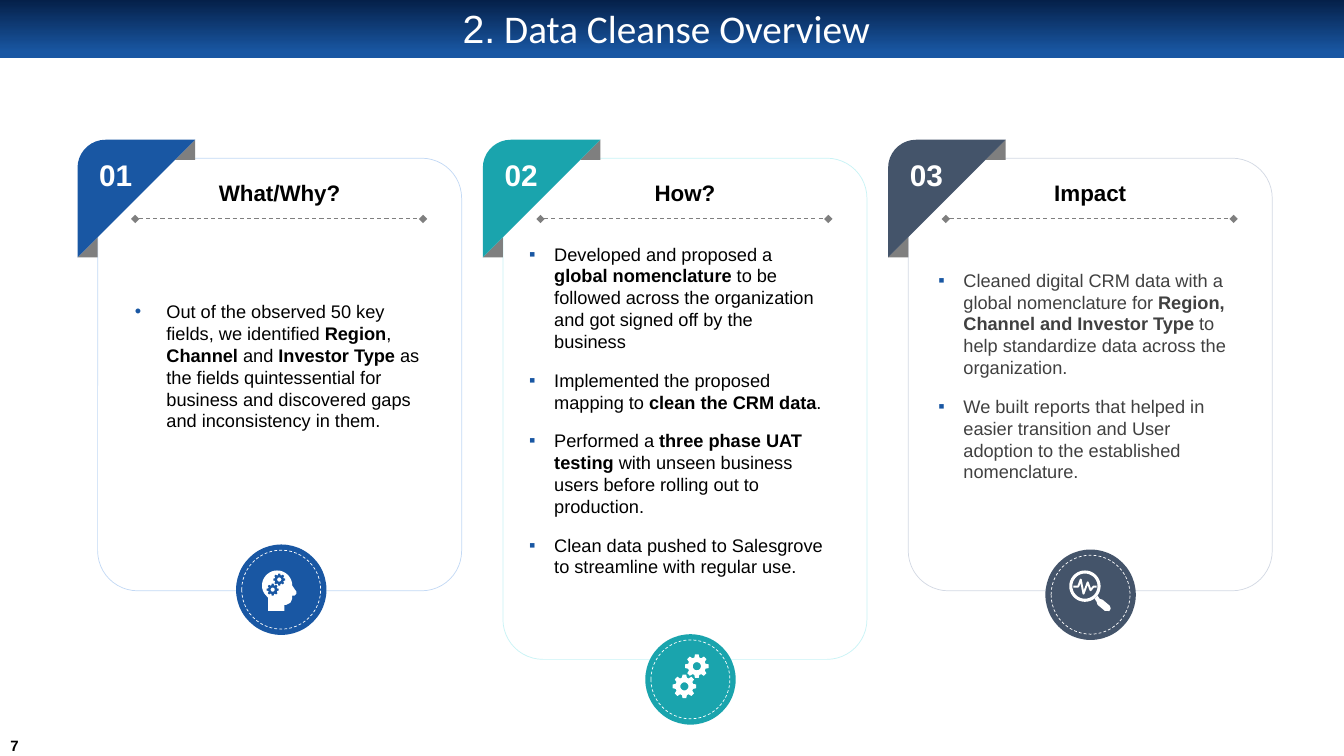
from math import cos, radians, sin

from lxml import etree
from pptx import Presentation
from pptx.dml.color import RGBColor
from pptx.enum.dml import MSO_LINE
from pptx.enum.shapes import MSO_CONNECTOR, MSO_SHAPE
from pptx.enum.text import MSO_ANCHOR, PP_ALIGN
from pptx.oxml.ns import qn
from pptx.util import Pt

RECT, ROUND = MSO_SHAPE.RECTANGLE, MSO_SHAPE.ROUNDED_RECTANGLE
OVAL, FOLD = MSO_SHAPE.OVAL, MSO_SHAPE.RIGHT_TRIANGLE
DASH, STRAIGHT = MSO_LINE.DASH, MSO_CONNECTOR.STRAIGHT
CENTER, LEFT = PP_ALIGN.CENTER, PP_ALIGN.LEFT
TOP, MIDDLE, BOTTOM = MSO_ANCHOR.TOP, MSO_ANCHOR.MIDDLE, MSO_ANCHOR.BOTTOM

COLORS = {
    "navy": "052049", "blue": "1957A3", "teal": "1AA4AD", "slate": "44546A",
    "pale blue": "C3D9F5", "pale teal": "C8F3F6", "pale slate": "D3D9E4",
    "gray": "7F7F7F", "dark": "404040", "black": "000000", "white": "FFFFFF",
}
FLAT = {"margin_left": 0, "margin_right": 0, "margin_top": 0, "margin_bottom": 0}
PITCH, CARD_X, CARD_Y, CARD_W = 289.5, 69.8, 113, 260
TAB_Y, TAB, CURVE, FOLD_W = 99.8, 84, 20, 14.4

# Text between bars is bold.
CARDS = [
    {"head": "What/Why?", "tint": "blue", "height": 309, "disc": (200.9, 421.2),
     "text": (89.3, 211, 219.6, 188), "ink": "black", "mark": "•", "indent": 22.5,
     "items": ["Out of the observed 50 key fields, we identified |Region|, |Channel| and "
               "|Investor Type| as the fields quintessential for business and discovered "
               "gaps and inconsistency in them."]},
    {"head": "How?", "tint": "teal", "height": 358, "disc": (493.2, 485.3),
     "text": (370.8, 169.9, 224.6, 245), "ink": "black", "mark": "▪", "indent": 18,
     "items": ["Developed and proposed a |global nomenclature |to be followed across the "
               "organization and got signed off by the business",
               "Implemented the proposed mapping to |clean the CRM data|.",
               "Performed a |three phase UAT testing| with unseen business users before "
               "rolling out to production.",
               "Clean data pushed to Salesgrove to streamline with regular use."]},
    {"head": "Impact", "tint": "slate", "height": 309, "disc": (779, 424.8),
     "text": (663.1, 188.6, 231.1, 188), "ink": "dark", "mark": "▪", "indent": 18,
     "items": ["Cleaned digital CRM data with a global nomenclature for |Region, Channel "
               "and Investor Type |to help standardize data across the organization.",
               "We built reports that helped in easier transition and User adoption to "
               "the established nomenclature."]},
]


def rgb(name):
    return RGBColor.from_string(COLORS[name])


def assign(item, values):
    for key, value in values.items():
        setattr(item, key, value)


def paint(shape, fill=None, line=None, width=0.5, dash=None):
    shape.shadow.inherit = False
    if fill:
        shape.fill.solid()
        shape.fill.fore_color.rgb = rgb(fill)
    else:
        shape.fill.background()
    if line:
        shape.line.color.rgb = rgb(line)
        assign(shape.line, {"width": Pt(width), "dash_style": dash})
    else:
        shape.line.fill.background()
    return shape


def add_form(slide, kind, box, **style):
    return paint(slide.shapes.add_shape(kind, *map(Pt, box)), **style)


def add_path(slide, center, rings, closed=True, **style):
    """Draw one outline from rings of points set around a center."""
    x, y = center
    rings = [[(Pt(x + a), Pt(y + b)) for a, b in ring] for ring in rings]
    pen = slide.shapes.build_freeform(*rings[0][0], scale=1)
    pen.add_line_segments(rings[0][1:], close=closed)
    for ring in rings[1:]:
        pen.move_to(*ring[0])
        pen.add_line_segments(ring[1:], close=closed)
    return paint(pen.convert_to_shape(), **style)


def arc(x, y, size, start=0, end=360, step=10):
    return [(x + size * cos(radians(d)), y + size * sin(radians(d)))
            for d in range(start, end + 1, step)]


def add_run(line, text, size, color, bold=False, face="Arial"):
    run = line.add_run()
    run.text = text
    assign(run.font, {"size": Pt(size), "bold": bold, "name": face})
    run.font.color.rgb = rgb(color)


def add_box(slide, box, anchor, wrap=True, **frame):
    text = slide.shapes.add_textbox(*map(Pt, box)).text_frame
    assign(text, {"word_wrap": wrap, "vertical_anchor": anchor, **frame})
    return text


def add_label(slide, box, words, size, color, anchor=MIDDLE, **frame):
    line = add_box(slide, box, anchor, **frame).paragraphs[0]
    line.alignment = CENTER
    add_run(line, words, size, color, bold=True)


def add_bullet(line, mark, indent):
    props = line._p.get_or_add_pPr()
    props.set("marL", str(Pt(indent)))
    props.set("indent", str(-Pt(indent)))
    tone = etree.SubElement(props, qn("a:buClr"))
    etree.SubElement(tone, qn("a:srgbClr"), val=COLORS["blue"])
    etree.SubElement(props, qn("a:buFont"), typeface="Arial")
    etree.SubElement(props, qn("a:buChar"), char=mark)


def add_list(slide, card):
    text = add_box(slide, card["text"], TOP)
    for i, item in enumerate(card["items"]):
        line = text.add_paragraph() if i else text.paragraphs[0]
        add_bullet(line, card["mark"], card["indent"])
        assign(line, {"alignment": LEFT, "space_before": Pt(6 if i else 0),
                      "space_after": Pt(6)})
        for j, part in enumerate(item.split("|")):
            add_run(line, part, 13, card["ink"], bold=j % 2 == 1)


def add_rule(slide, x, y, width):
    rule = slide.shapes.add_connector(STRAIGHT, Pt(x), Pt(y), Pt(x + width), Pt(y))
    rule.line.color.rgb = rgb("gray")
    assign(rule.line, {"width": Pt(0.75), "dash_style": DASH})
    for end in ("a:headEnd", "a:tailEnd"):
        etree.SubElement(rule.line._get_or_add_ln(), qn(end), type="diamond")
    etree.SubElement(rule.element.spPr, qn("a:effectLst"))


def add_gear(slide, center, size, hole, fill):
    teeth = [(size * r * cos(radians(d + turn)), size * r * sin(radians(d + turn)))
             for d in range(0, 360, 45)
             for turn, r in ((-16, 0.76), (-9, 1), (9, 1), (16, 0.76))]
    add_path(slide, center, [teeth, arc(0, 0, hole)], fill=fill)


def draw_head(slide, x, y):
    face = [(10.8, 1.4), (10.8, 2.9), (9.4, 4.3), (7.9, 4.3), (7.9, 6.5), (6.5, 9.4),
            (3.6, 10.8), (2.2, 10.8), (2.2, 15.1), (-9.4, 15.1), (-9.4, 5.8)]
    add_path(slide, (x, y), [face + arc(-2.9, -2.9, 10.8, 150, 360)], fill="white")
    for a, b in ((-1.4, -7.2), (-6.1, 0)):
        add_gear(slide, (x + a, y + b), 4.3, 1.5, "blue")


def draw_gears(slide, x, y):
    for a, b in ((4.6, -9.4), (-4.3, 5)):
        add_gear(slide, (x + a, y + b), 8.5, 2.9, "white")


def draw_lens(slide, x, y):
    grip = [(2.9, 2.9), (5, 0.7), (6.5, 2.9), (8.6, 3.6), (13.7, 7.9), (14.4, 10),
            (13.4, 11.7), (10.1, 11.5), (5, 7.2), (4.3, 5)]
    pulse = [(-12.2, -5.8), (-8.8, -5.8), (-7, -10.8), (-5, -0.7), (-2, -8.8),
             (0, -3.2), (2.2, -5.8), (4.3, -5.8)]
    add_path(slide, (x, y), [arc(-4, -6.1, 11.2), arc(-4, -6.1, 9)], fill="white")
    add_path(slide, (x, y), [grip], fill="white")
    add_path(slide, (x, y), [pulse], closed=False, line="white", width=1.4)


def add_card(slide, i, card, icon):
    x, tint = CARD_X + i * PITCH, card["tint"]
    tab = x - FOLD_W
    frame = add_form(slide, ROUND, (x, CARD_Y, CARD_W, card["height"]),
                     line="pale " + tint)
    frame.adjustments[0] = 0.11
    for a, b in ((TAB - FOLD_W, 0), (0, TAB - FOLD_W)):
        fold = add_form(slide, FOLD, (tab + a, TAB_Y + b, FOLD_W, FOLD_W), fill="gray")
        fold.rotation = 270
    corner = arc(CURVE, CURVE, CURVE, 180, 270) + [(TAB, 0), (0, TAB)]
    add_path(slide, (tab, TAB_Y), [corner], fill=tint)
    add_label(slide, (x - 8.7, 107.3, 43.2, 35.3), f"{i + 1:02}", 21.3, "white",
              wrap=False, **FLAT)
    add_label(slide, (x + 43.2, 121.7, 173.5, 28.8), card["head"], 16, "black", BOTTOM)
    add_rule(slide, x + 26.8, 156.4, 205.6)
    add_list(slide, card)
    cx, cy = card["disc"]
    for size, style in ((32.3, {"fill": tint}), (28.2, {"line": "white", "dash": DASH})):
        add_form(slide, OVAL, (cx - size, cy - size, 2 * size, 2 * size), **style)
    icon(slide, cx, cy)


def add_title(slide):
    title = slide.shapes.title
    band = add_form(slide, RECT, (0, 0, 960, 41.6), fill="blue")
    band.fill.gradient()
    band.fill.gradient_angle = 270
    for stop, place, name in zip(band.fill.gradient_stops, (0, 0.9), ("navy", "blue")):
        stop.position, stop.color.rgb = place, rgb(name)
    title.element.addprevious(band.element)
    assign(title, {"left": Pt(45.4), "top": Pt(5.8), "width": Pt(861), "height": Pt(32.4)})
    assign(title.text_frame, {"vertical_anchor": MIDDLE, "word_wrap": True,
                              "margin_top": Pt(3), "margin_bottom": Pt(3)})
    line = title.text_frame.paragraphs[0]
    assign(line, {"alignment": CENTER, "line_spacing": 0.9})
    add_run(line, "2.", 28, "white")
    add_run(line, " Data Cleanse Overview", 28, "white", face="Calibri")


def main():
    deck = Presentation()
    assign(deck, {"slide_width": Pt(960), "slide_height": Pt(540)})
    slide = deck.slides.add_slide(deck.slide_layouts[5])
    add_title(slide)
    for i, (card, icon) in enumerate(zip(CARDS, (draw_head, draw_gears, draw_lens))):
        add_card(slide, i, card, icon)
    add_label(slide, (1.4, 525.6, 18, 13.7), "7", 10.7, "black", wrap=False, **FLAT)
    deck.save("out.pptx")


if __name__ == "__main__":
    main()
